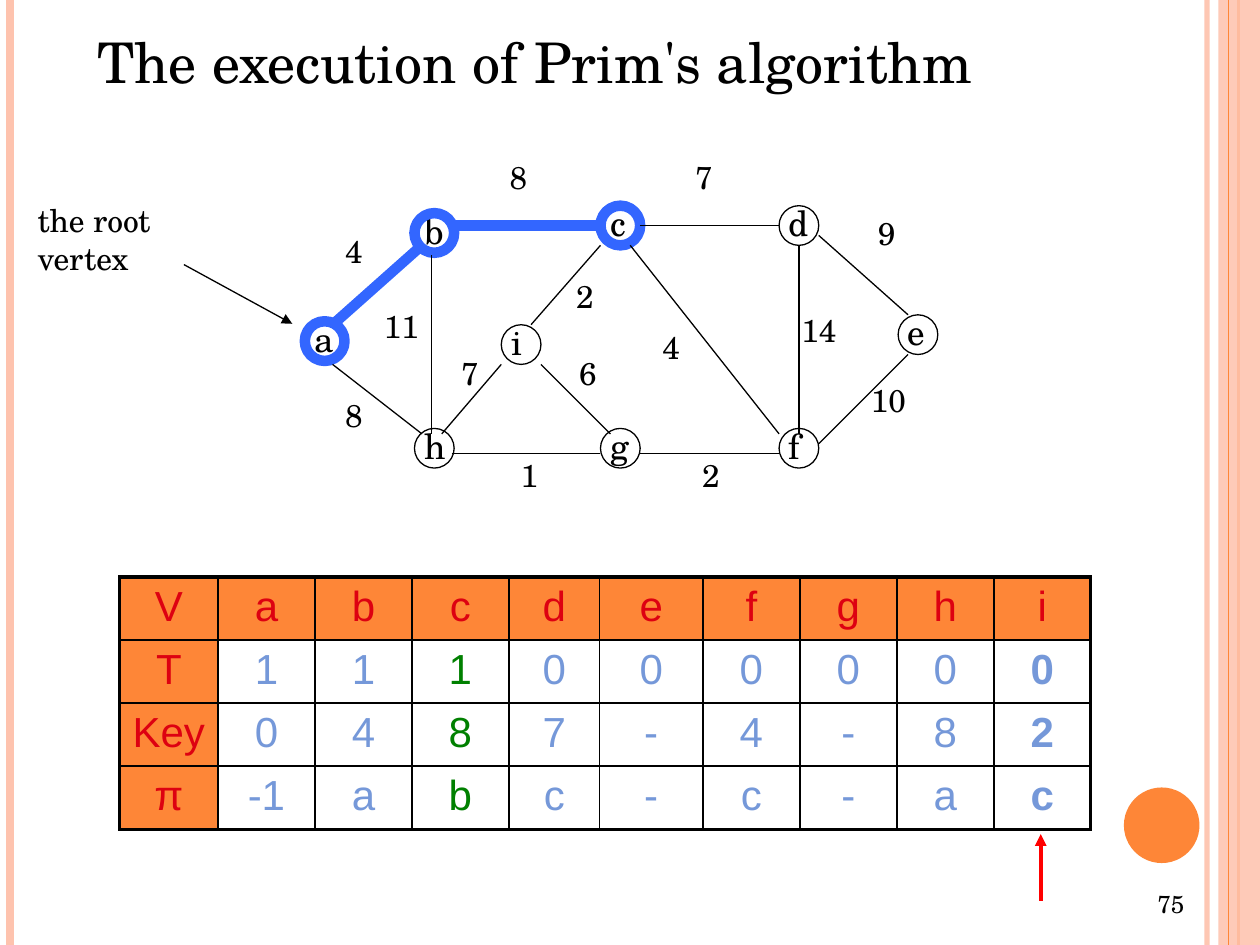
import pptx
import pptx.util
import pptx.dml.color
import pptx.enum.shapes
import pptx.enum.text
import pptx.oxml
import pptx.oxml.ns

RGBColor = pptx.dml.color.RGBColor
BLACK = RGBColor(0x00, 0x00, 0x00)
ORANGE = RGBColor(0xFE, 0x86, 0x37)
PEACH = RGBColor(0xFE, 0xC3, 0xAE)
BLUE = RGBColor(0x33, 0x66, 0xFF)
PALE_BLUE = RGBColor(0x75, 0x98, 0xD9)
RED = RGBColor(0xFF, 0x00, 0x00)
DARK_RED = RGBColor(0xDD, 0x01, 0x11)
GREEN = RGBColor(0x00, 0x80, 0x00)
SERIF, SANS = "TeX Gyre Schola", "Arial"

WIDTH, HEIGHT = 10, 7.5
GRAPH_LEFT, GRAPH_TOP, STEP = 2.64, 1.79, 1 / 12.7
NODE_STEPS = 4
THIN, THICK = (BLACK, 0.75), (BLUE, 6)

# Name, column and row of the circle's corner, label width in inches
NODES = [
    ("a", -2.8, 9.65, 0.36), ("b", 8.25, -1.25, 0.36), ("h", 8.25, 20.45, 0.36),
    ("c", 27, -2, 0.34), ("d", 45, -2, 0.36), ("e", 57, 9, 0.36),
    ("f", 45, 20.45, 0.28), ("g", 27, 20.45, 0.36), ("i", 17, 10, 0.28),
]
IN_TREE = {"a", "b", "c"}

# Ends, start point, end point, weight, corner of the weight's box
EDGES = [
    ("ab", (0, 10), (9, 2), "4", (0, 0)),
    ("ah", (0, 14), (9, 21), "8", (0, 16.6)),
    ("bh", (10, 3), (10, 21), "11", (3.9, 7.6)),
    ("bc", (12, 0), (27, 0), "8", (16.6, -7.4)),
    ("hg", (12, 23), (27, 23), "1", (17.7, 22.6)),
    ("gf", (31, 23), (45, 23), "2", (36, 22.6)),
    ("cf", (30, 2), (45, 21), "4", (32, 9.7)),
    ("cd", (31, 0), (45, 0), "7", (35.3, -7.4)),
    ("df", (47, 2), (47, 21), "14", (46, 8)),
    ("de", (49, 1), (58, 9), "9", (53.7, -1.8)),
    ("fe", (49, 22), (58, 13), "10", (53, 15)),
    ("ig", (21, 14), (28, 21), "6", (23.6, 12.3)),
    ("hi", (11, 21), (17, 14), "7", (11.7, 12.3)),
    ("ic", (20, 10), (27, 2), "2", (23.3, 4.6)),
]

TABLE_ROWS = [
    ["V", *"abcdefghi"],
    ["T", *"111000000"],
    ["Key", *"0487-4-82"],
    ["π", "-1", *"abc-c-ac"],
]
COLUMN_WIDTHS = [0.78, 0.77, 0.77, 0.77, 0.72, 0.82, 0.77, 0.77, 0.77, 0.77]
ROW_HEIGHT = 0.5
GREEN_COLUMN = 3


def inches(*lengths):
    return [pptx.util.Inches(length) for length in lengths]


def graph_point(column, row):
    return GRAPH_LEFT + column * STEP, GRAPH_TOP + row * STEP


def add_run(paragraph, text, size, color=BLACK, font=SERIF, bold=False):
    run = paragraph.add_run()
    run.text = text
    run.font.size = pptx.util.Pt(size)
    run.font.name = font
    run.font.bold = bold
    run.font.color.rgb = color


def add_text(shapes, text, box, size, wrap=False):
    text_box = shapes.add_textbox(*inches(*box))
    text_box.text_frame.word_wrap = wrap
    paragraph = text_box.text_frame.paragraphs[0]
    add_run(paragraph, text, size)
    return text_box


def set_alpha(element, percent):
    color = next(element.iter(pptx.oxml.ns.qn("a:srgbClr")))
    color.append(pptx.oxml.parse_xml(
        f'<a:alpha {pptx.oxml.ns.nsdecls("a")} val="{percent * 1000}"/>'))


def add_line(shapes, start, end, color, width, arrow=False):
    line = shapes.add_connector(
        pptx.enum.shapes.MSO_CONNECTOR.STRAIGHT, *inches(*start, *end))
    line.line.color.rgb = color
    line.line.width = pptx.util.Pt(width)
    namespace = pptx.oxml.ns.nsdecls("a")
    if arrow:
        line.line._get_or_add_ln().append(
            pptx.oxml.parse_xml(f'<a:tailEnd {namespace} type="triangle"/>'))
    line._element.spPr.append(pptx.oxml.parse_xml(f"<a:effectLst {namespace}/>"))
    return line


def add_filled(shapes, kind, box, color):
    shape = shapes.add_shape(kind, *inches(*box))
    shape.shadow.inherit = False
    shape.fill.solid()
    shape.fill.fore_color.rgb = color
    shape.line.fill.background()
    return shape


def add_decoration(shapes):
    """Side stripes and the orange disc."""
    kinds = pptx.enum.shapes.MSO_SHAPE

    def add_stripe(x, color, width):
        return add_line(shapes, (x, 0), (x, HEIGHT), color, width)

    set_alpha(add_stripe(9.58, PEACH, 3)._element, 93)
    add_stripe(0.08, PEACH, 4.5)
    add_stripe(9.83, ORANGE, 1.5)
    band = add_filled(shapes, kinds.RECTANGLE, (9.67, 0, WIDTH - 9.67, HEIGHT), PEACH)
    set_alpha(band._element, 87)
    add_stripe(9.75, ORANGE, 0.75)
    add_filled(shapes, kinds.OVAL, (8.92, 6.25, 0.6, 0.6), ORANGE)


def add_title(slide, text):
    title = slide.shapes.title
    title.left, title.top, title.width, title.height = inches(0.67, 0.17, 8.58, 0.63)
    title.text_frame.vertical_anchor = pptx.enum.text.MSO_ANCHOR.TOP
    paragraph = title.text_frame.paragraphs[0]
    paragraph.alignment = pptx.enum.text.PP_ALIGN.LEFT
    add_run(paragraph, text, 32)


def add_node(shapes, name, column, row, label_width):
    x, y = graph_point(column, row)
    add_text(shapes, name, (x - 0.02, y - 0.08, label_width, 0.43), 20)
    size = NODE_STEPS * STEP
    circle = shapes.add_shape(
        pptx.enum.shapes.MSO_SHAPE.OVAL, *inches(x, y, size, size))
    circle.shadow.inherit = False
    circle.fill.background()
    color, width = THICK if name in IN_TREE else THIN
    circle.line.color.rgb = color
    circle.line.width = pptx.util.Pt(width)


def add_graph(slide):
    shapes = slide.shapes.add_group_shape().shapes
    for node in NODES:
        add_node(shapes, *node)
    for ends, start, end, weight, corner in EDGES:
        style = THICK if IN_TREE.issuperset(ends) else THIN
        add_line(shapes, graph_point(*start), graph_point(*end), *style)
        label_width = 0.2 + 0.14 * len(weight)
        add_text(shapes, weight, (*graph_point(*corner), label_width, 0.4), 18)


def set_borders(cell, outer_sides):
    properties = cell._tc.get_or_add_tcPr()
    for side in "LRTB":
        width = pptx.util.Pt(2.25 if side in outer_sides else 1)
        properties.append(pptx.oxml.parse_xml(
            f'<a:ln{side} {pptx.oxml.ns.nsdecls("a")} w="{width}"><a:solidFill>'
            f'<a:srgbClr val="{BLACK}"/></a:solidFill></a:ln{side}>'))


def add_state_table(slide):
    row_count, column_count = len(TABLE_ROWS), len(COLUMN_WIDTHS)
    table = slide.shapes.add_table(row_count, column_count, *inches(
        0.95, 4.58, sum(COLUMN_WIDTHS), row_count * ROW_HEIGHT)).table
    table.first_row = table.horz_banding = False
    for column, width in zip(table.columns, COLUMN_WIDTHS):
        column.width = pptx.util.Inches(width)
    for i, texts in enumerate(TABLE_ROWS):
        table.rows[i].height = pptx.util.Inches(ROW_HEIGHT)
        for j, text in enumerate(texts):
            cell = table.cell(i, j)
            cell.margin_left = cell.margin_right = pptx.util.Inches(0.05)
            edges = {"L": j == 0, "R": j == column_count - 1,
                     "T": i == 0, "B": i == row_count - 1}
            set_borders(cell, [side for side in edges if edges[side]])
            header = i == 0 or j == 0
            if header:
                cell.fill.solid()
                cell.fill.fore_color.rgb = ORANGE
                color = DARK_RED
            else:
                cell.fill.background()
                color = GREEN if j == GREEN_COLUMN else PALE_BLUE
            paragraph = cell.text_frame.paragraphs[0]
            paragraph.alignment = pptx.enum.text.PP_ALIGN.CENTER
            add_run(paragraph, text, 24, color, SANS, bold=edges["R"] and not header)


def main():
    presentation = pptx.Presentation()
    presentation.slide_width, presentation.slide_height = inches(WIDTH, HEIGHT)
    slide = presentation.slides.add_slide(presentation.slide_layouts[5])
    add_decoration(slide.shapes)
    number = add_text(slide.shapes, "75", (7.17, 7, 2.33, 0.35), 14, wrap=True)
    number.text_frame.vertical_anchor = pptx.enum.text.MSO_ANCHOR.MIDDLE
    number.text_frame.paragraphs[0].alignment = pptx.enum.text.PP_ALIGN.RIGHT
    add_title(slide, "The execution of Prim's algorithm")
    add_text(slide.shapes, "the root vertex", (0.2, 1.55, 1.34, 0.9), 18, wrap=True)
    add_line(slide.shapes, (1.46, 2.1), (2.32, 2.57), *THIN, arrow=True)
    add_state_table(slide)
    add_graph(slide)
    add_line(slide.shapes, (8.26, 7.15), (8.26, 6.62), RED, 2.25, arrow=True)
    presentation.save("out.pptx")


if __name__ == "__main__":
    main()
